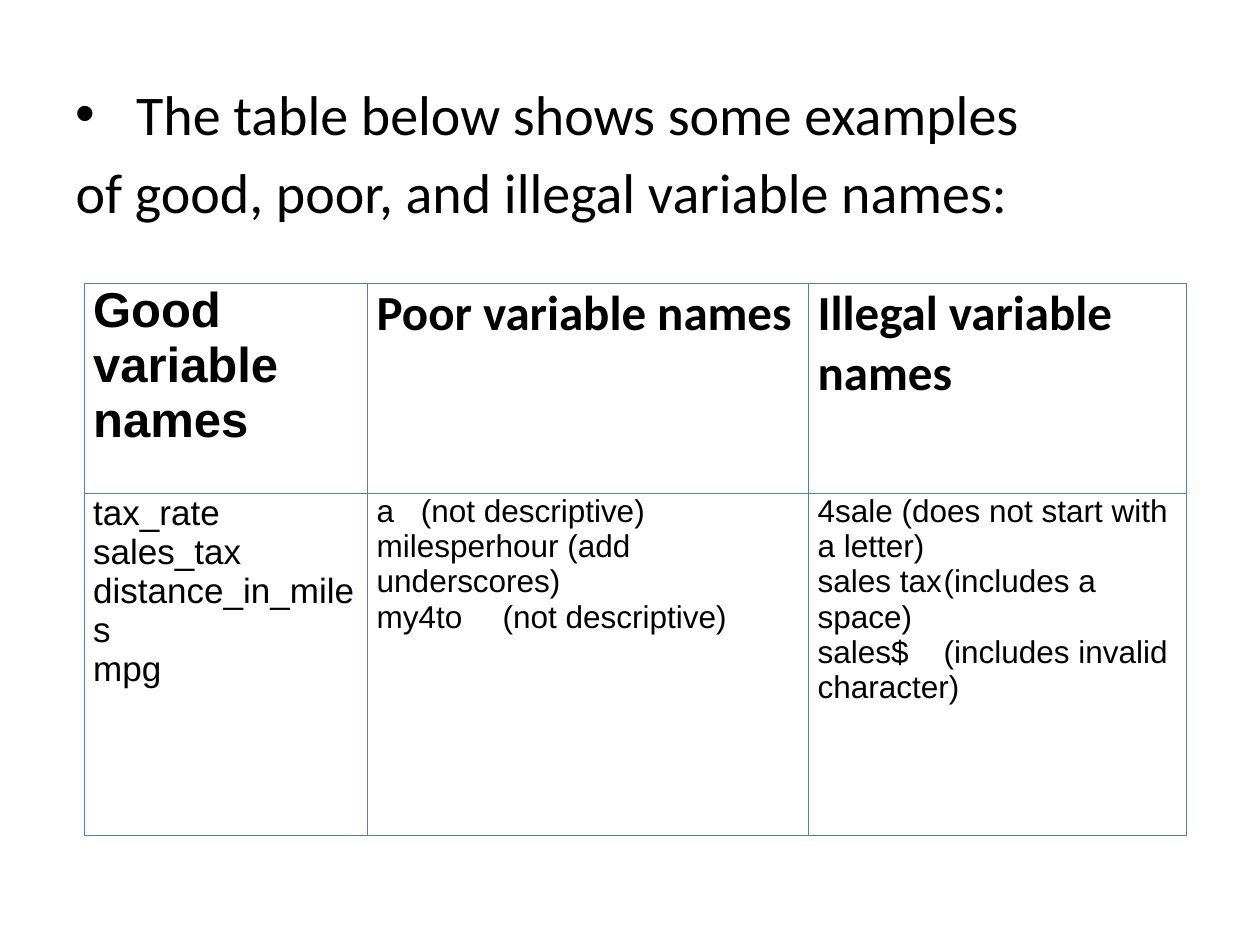
from lxml.etree import SubElement
from pptx import Presentation
from pptx.dml.color import RGBColor
from pptx.oxml.ns import qn
from pptx.util import Inches, Pt


def style(span, size, font, bold=False, color="000000"):
    span.font.size = Pt(size)
    span.font.name = font
    span.font.bold = bold
    span.font.color.rgb = RGBColor.from_string(color)


def add_borders(cell, color, width):
    props = cell._tc.get_or_add_tcPr()
    for position, side in enumerate(("a:lnL", "a:lnR", "a:lnT", "a:lnB")):
        line = props.makeelement(qn(side), {"w": str(Pt(width))})
        fill = SubElement(line, qn("a:solidFill"))
        SubElement(fill, qn("a:srgbClr"), val=color)
        props.insert(position, line)


deck = Presentation()
deck.slide_width, deck.slide_height = Inches(10), Inches(7.5)
page = deck.slides.add_slide(deck.slide_layouts[1])
title = page.shapes.title
title.element.getparent().remove(title.element)

# Introduction: a bulleted line and its unbulleted continuation
body = page.placeholders[1]
body.left, body.top = Inches(0.5), Inches(0.58)
body.width, body.height = Inches(9), Inches(6.12)
intro = [
    (" The table below shows some examples", 0, "a:buChar"),
    ("of good, poor, and illegal variable names:", 6.4, "a:buNone"),
]
for index, (text, space, bullet) in enumerate(intro):
    frame = body.text_frame
    para = frame.add_paragraph() if index else frame.paragraphs[0]
    para.space_before = Pt(space)
    props = para._p.get_or_add_pPr()
    props.set("marL", str(Inches(0.38)))
    props.set("indent", str(Inches(-0.38)))
    mark = SubElement(props, qn(bullet))
    if bullet == "a:buChar":
        mark.set("char", "•")
    span = para.add_run()
    span.text = text
    style(span, 32, "Calibri")

# Table content: size, font, bold and paragraphs of each cell
rows = [
    [
        (28, "Arial", True, ["Good variable names"]),
        (28, "Calibri", True, ["Poor variable names"]),
        (28, "Calibri", True, ["Illegal variable names"]),
    ],
    [
        (20, "Arial", False, ["tax_rate", "sales_tax", "distance_in_miles", "mpg"]),
        (18, "Arial", False, ["a\t(not descriptive)",
                              "milesperhour (add underscores)",
                              "my4to \t(not descriptive)"]),
        (18, "Arial", False, ["4sale (does not start with a letter)\n"
                              "sales tax\t(includes a space)\n"
                              "sales$\t(includes invalid character)"]),
    ],
]
widths = [2.25, 3.5, 3]
heights = [1.67, 2.71]

# Table of variable names
table = page.shapes.add_table(len(rows), len(widths), Inches(0.67), Inches(2.25),
                              Inches(sum(widths)), Inches(sum(heights))).table
table.first_row = table.horz_banding = False
for column, width in zip(table.columns, widths):
    column.width = Inches(width)
for row, height in zip(table.rows, heights):
    row.height = Inches(height)

for row, contents in zip(table.rows, rows):
    for cell, (size, font, bold, lines) in zip(row.cells, contents):
        cell.fill.background()
        add_borders(cell, "4F81BD", 0.75)
        cell.margin_left = cell.margin_right = Inches(0.07)
        cell.margin_top = cell.margin_bottom = 0
        for index, text in enumerate(lines):
            frame = cell.text_frame
            para = frame.add_paragraph() if index else frame.paragraphs[0]
            for number, part in enumerate(text.split("\n")):
                if number:
                    para.add_line_break()
                span = para.add_run()
                span.text = part
                style(span, size, font, bold)

# Short tab stop after the one-letter name
short_name = table.cell(1, 1).text_frame.paragraphs[0]
stops = SubElement(short_name._p.get_or_add_pPr(), qn("a:tabLst"))
SubElement(stops, qn("a:tab"), pos=str(Inches(0.35)), algn="l")

deck.save("out.pptx")
